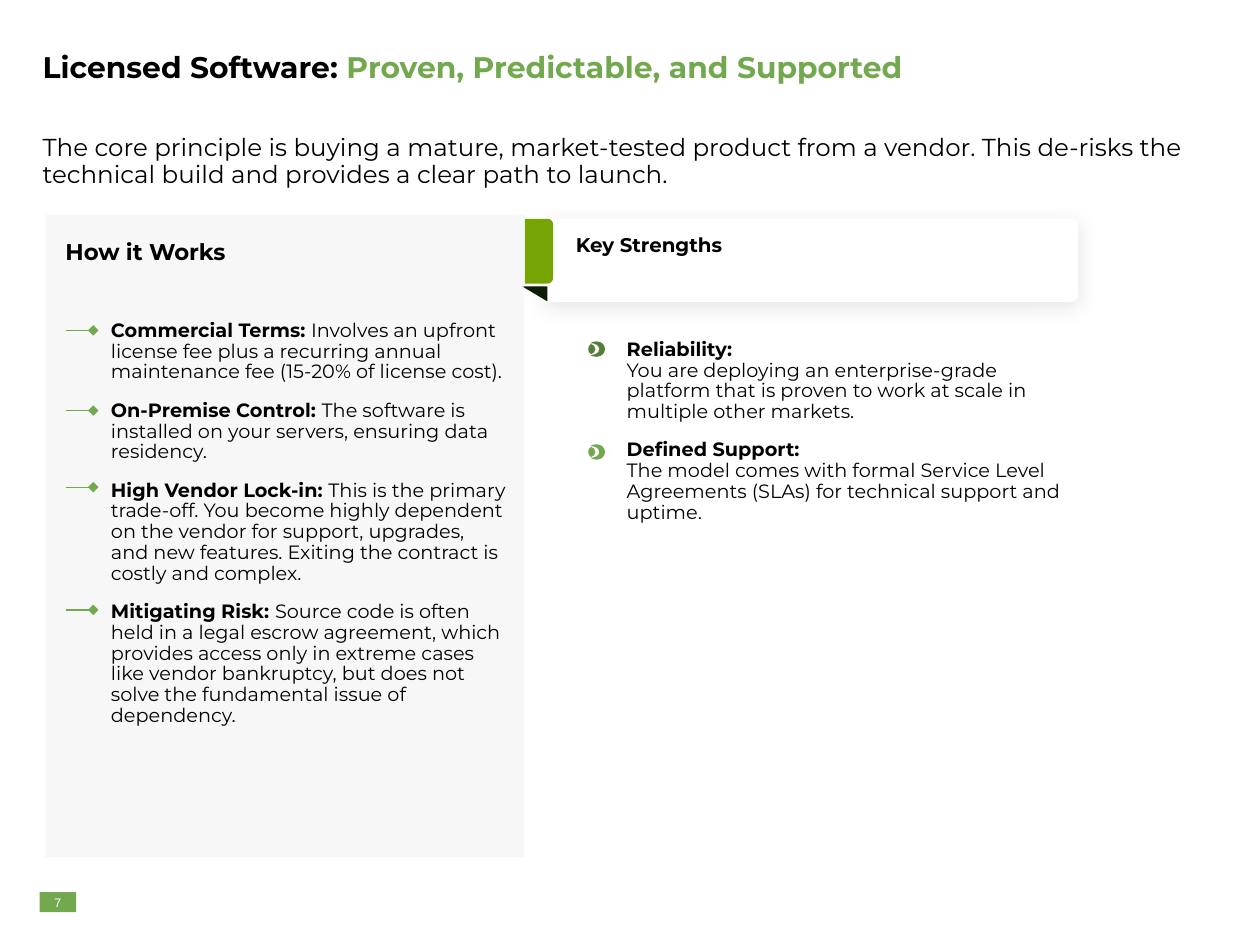
"""Build the licensed software slide with its terms panel and key strengths."""
from copy import deepcopy
from dataclasses import dataclass

from lxml import etree
from pptx import Presentation
from pptx.dml.color import RGBColor
from pptx.enum.shapes import MSO_CONNECTOR, MSO_SHAPE
from pptx.enum.text import MSO_ANCHOR, MSO_AUTO_SIZE, PP_ALIGN
from pptx.oxml.ns import qn
from pptx.util import Pt

RECTANGLE = MSO_SHAPE.RECTANGLE
ROUND_TOP = MSO_SHAPE.ROUND_2_SAME_RECTANGLE
RIGHT_TRIANGLE = MSO_SHAPE.RIGHT_TRIANGLE
STRAIGHT = MSO_CONNECTOR.STRAIGHT
LEFT, CENTER = PP_ALIGN.LEFT, PP_ALIGN.CENTER
TOP, MIDDLE = MSO_ANCHOR.TOP, MSO_ANCHOR.MIDDLE
NO_AUTOFIT = MSO_AUTO_SIZE.NONE


@dataclass(frozen=True)
class Theme:
    """Colours, fonts and type sizes of the slide."""
    black: str = "000000"
    white: str = "FFFFFF"
    green: str = "72A84E"
    dark_green: str = "557E3A"
    tab_green: str = "75A403"
    fold: str = "0D1C05"
    panel: str = "EFEFEF"
    font: str = "Montserrat"
    number_font: str = "Arial"
    title: float = 17
    lead: float = 14
    heading: float = 13
    card_heading: float = 11.3
    body: float = 11
    number: float = 7.1


THEME = Theme()
PLACEHOLDER_INSETS = (2.9, 1.4)

TERMS = [
    ("Commercial Terms: ", "Involves an upfront license fee plus a recurring annual "
     "maintenance fee (15-20% of license cost)."),
    ("On-Premise Control: ", "The software is installed on your servers, ensuring data "
     "residency."),
    ("High Vendor Lock-in: ", "This is the primary trade-off. You become highly dependent "
     "on the vendor for support, upgrades, and new features. Exiting the contract is "
     "costly and complex."),
    ("Mitigating Risk: ", "Source code is often held in a legal escrow agreement, which "
     "provides access only in extreme cases like vendor bankruptcy, but does not solve "
     "the fundamental issue of dependency."),
]
STRENGTHS = [
    ("Reliability: \n", "You are deploying an enterprise-grade platform that is proven to "
     "work at scale in multiple other markets."),
    ("Defined Support: \n", "The model comes with formal Service Level Agreements (SLAs) "
     "for technical support and uptime."),
]
MARKER_TOPS = (188.8, 234.6, 278.4, 348.5)
ICONS = ((199.5, THEME.dark_green), (258.3, THEME.green))

LENS = [(-0.7, 0), (-0.7, 1.4), (-1.7, 2.6), (-3.2, 2.9), (-4.2, 2.3), (-4.8, 1.2), (-4.8, 0)]
CRESCENT = [(4.8, 0), (4.8, 2.5), (2.7, 4.4), (0, 4.4), (-1.3, 4.4), (-2.6, 4.1), (-3.6, 3.4),
            (-0.6, 3.4), (1.5, 2), (1.5, 0)]


def lead_ins(items):
    """Return paragraphs that open with a bold phrase."""
    return [[(lead, {"bold": True}), (rest, {})] for lead, rest in items]


def symmetric_outline(half, center_x, center_y):
    """Return the closed chain of curve points for a lower half and its mirror."""
    points = half + [(x, -y) for x, y in reversed(half[:-1])]
    return [(Pt(center_x + x), Pt(center_y + y)) for x, y in points]


def bend(shape):
    """Turn each three line segments of a freeform into one cubic curve."""
    lines = list(shape.element.spPr.iter(qn("a:lnTo")))
    for first in range(0, len(lines), 3):
        curve = etree.Element(qn("a:cubicBezTo"))
        lines[first].addprevious(curve)
        for line in lines[first:first + 3]:
            curve.append(line[0])
            line.getparent().remove(line)


def write_text(frame, paragraphs, *, size, font=THEME.font, color=THEME.black, bold=False,
               align=LEFT, anchor=TOP, insets=(7.2, 7.2), spacing=0.9, gap=10):
    """Fill a text frame with paragraphs of runs, each run being (text, format)."""
    frame.word_wrap = True
    frame.auto_size = NO_AUTOFIT
    frame.vertical_anchor = anchor
    frame.margin_left = frame.margin_right = Pt(insets[0])
    frame.margin_top = frame.margin_bottom = Pt(insets[1])
    for index, runs in enumerate(paragraphs):
        paragraph = frame.add_paragraph() if index else frame.paragraphs[0]
        properties = paragraph._p.get_or_add_pPr()
        properties.set("marL", "0")
        properties.set("indent", "0")
        etree.SubElement(properties, qn("a:buNone"))
        paragraph.alignment = align
        paragraph.line_spacing = spacing
        paragraph.space_before = Pt(gap if index else 0)
        for text, style in runs:
            run = paragraph.add_run()
            run.text = text.rstrip("\n")
            run.font.name = font
            run.font.size = Pt(size)
            run.font.bold = style.get("bold", bold)
            run.font.color.rgb = RGBColor.from_string(style.get("color", color))
            if text.endswith("\n"):
                paragraph.add_line_break()
                paragraph._p[-1].append(deepcopy(run._r.rPr))


class SlideBuilder:
    """Holds the current slide and draws each kind of element on it."""

    def __init__(self, slide):
        self.slide = slide
        self.shapes = slide.shapes

    def paint(self, shape, color):
        """Give a shape a plain fill without line or shadow."""
        shape.shadow.inherit = False
        shape.fill.solid()
        shape.fill.fore_color.rgb = RGBColor.from_string(color)
        shape.line.fill.background()

    def shape(self, kind, left, top, width, height, color, *, rotation=0, corner=None,
              flip=False, opacity=None):
        """Add a preset shape in a frame measured after any quarter turn."""
        if rotation:
            left, top = left + (width - height) / 2, top + (height - width) / 2
            width, height = height, width
        shape = self.shapes.add_shape(kind, Pt(left), Pt(top), Pt(width), Pt(height))
        shape.rotation = rotation
        self.paint(shape, color)
        if corner is not None:
            shape.adjustments[0] = corner
        if flip:
            shape.element.spPr.xfrm.set("flipH", "1")
        if opacity is not None:
            fill_color = next(shape.element.spPr.iter(qn("a:srgbClr")))
            etree.SubElement(fill_color, qn("a:alpha"), val=str(opacity * 1000))
        return shape

    def soft_shadow(self, shape, blur, distance, opacity):
        """Add a faint shadow falling straight down."""
        effects = shape.element.spPr.find(qn("a:effectLst"))
        shadow = etree.SubElement(effects, qn("a:outerShdw"), blurRad=str(Pt(blur)),
                                  dist=str(Pt(distance)), dir="5400000", rotWithShape="0")
        color = etree.SubElement(shadow, qn("a:srgbClr"), val=THEME.black)
        etree.SubElement(color, qn("a:alpha"), val=str(opacity * 1000))

    def placeholder(self, index, left, top, width, height, paragraphs, **style):
        """Move a placeholder to the front and fill it."""
        shape = self.slide.placeholders[index]
        shape.left, shape.top, shape.width, shape.height = map(Pt, (left, top, width, height))
        shape.element.getparent().append(shape.element)
        write_text(shape.text_frame, paragraphs, insets=PLACEHOLDER_INSETS, **style)

    def text(self, left, top, width, height, paragraphs, **style):
        """Add a text box."""
        box = self.shapes.add_textbox(Pt(left), Pt(top), Pt(width), Pt(height))
        write_text(box.text_frame, paragraphs, **style)

    def marker(self, left, right, top):
        """Add a short line that ends in a diamond."""
        line = self.shapes.add_connector(STRAIGHT, Pt(left), Pt(top), Pt(right), Pt(top))
        line.line.color.rgb = RGBColor.from_string(THEME.green)
        line.line.width = Pt(0.75)
        etree.SubElement(line.line._get_or_add_ln(), qn("a:tailEnd"), type="diamond")
        etree.SubElement(line.element.spPr, qn("a:effectLst"))

    def icon(self, center_x, center_y, color):
        """Add a round bullet with a crescent cut out."""
        lens, crescent = (symmetric_outline(half, center_x, center_y) for half in (LENS, CRESCENT))
        builder = self.shapes.build_freeform(*lens[0])
        builder.add_line_segments(lens[1:])
        builder.move_to(*crescent[0])
        builder.add_line_segments(crescent[1:])
        shape = builder.convert_to_shape()
        bend(shape)
        self.paint(shape, color)


def main():
    """Build and save the slide."""
    presentation = Presentation()
    presentation.slide_width, presentation.slide_height = Pt(720), Pt(540)
    builder = SlideBuilder(presentation.slides.add_slide(presentation.slide_layouts[3]))

    card = builder.shape(ROUND_TOP, 310.8, 125, 305.3, 47.5, THEME.white, rotation=90, corner=0.08)
    builder.soft_shadow(card, 12.1, 2.4, 10)
    tab = builder.shape(ROUND_TOP, 299.9, 125, 16.2, 37.1, THEME.tab_green, rotation=90, corner=0.2)
    fold = builder.shape(RIGHT_TRIANGLE, 298.3, 163.6, 14.5, 8.6, THEME.fold, rotation=270, flip=True)
    builder.shapes.add_group_shape([card, tab, fold])
    builder.text(321.2, 126.5, 140.4, 28.8, [[("Key Strengths", {})]],
                 size=THEME.card_heading, bold=True, insets=(7.9, 7.9))

    builder.shape(RECTANGLE, 26, 122.8, 273.6, 367.2, THEME.panel, opacity=47)
    builder.placeholder(2, 60.5, 181.9, 231.8, 298.8, lead_ins(TERMS), size=THEME.body)
    builder.placeholder(1, 21.5, 76.2, 677.5, 43.9, [[(
        "The core principle is buying a mature, market-tested product from a vendor. "
        "This de-risks the technical build and provides a clear path to launch.", {})]],
        size=THEME.lead)
    builder.placeholder(0, 21.5, 20.9, 506.9, 36.7, [[
        ("Licensed Software: ", {}),
        ("Proven, Predictable, and Supported", {"color": THEME.green})]],
        size=THEME.title, bold=True, anchor=MIDDLE)

    builder.shape(RECTANGLE, 22.6, 509.8, 20.9, 11.5, THEME.green)
    builder.text(25.9, 510.5, 14.4, 10.1, [[("7", {})]], size=THEME.number, spacing=1,
                 font=THEME.number_font, color=THEME.white, align=CENTER, anchor=MIDDLE,
                 insets=(0, 0))
    builder.text(30.3, 130.3, 236.2, 28.8, [[("How it Works", {})]], size=THEME.heading, bold=True)
    builder.text(351, 186.9, 265, 121, lead_ins(STRENGTHS), size=THEME.body)

    for top in MARKER_TOPS:
        builder.marker(37.7, 53.3, top)
    for center_y, color in ICONS:
        builder.icon(340.9, center_y, color)
    presentation.save("out.pptx")


if __name__ == "__main__":
    main()
